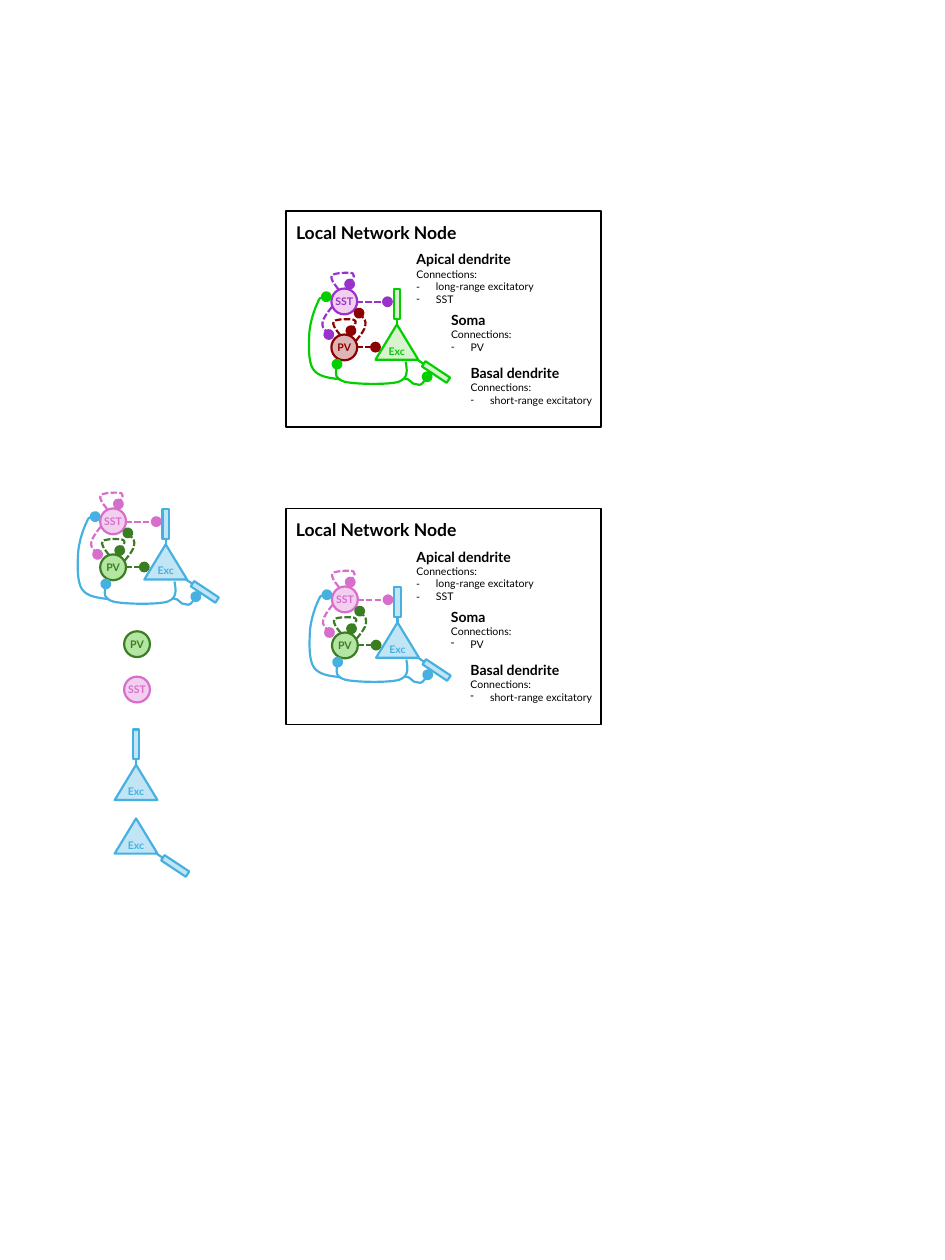
"""Build the local network node slide: loose cell symbols and two annotated panels."""
from lxml import etree
from pptx import Presentation
from pptx.dml.color import RGBColor
from pptx.enum import dml, shapes, text
from pptx.oxml import ns
from pptx.util import Inches, Pt

BLACK = RGBColor(0x00, 0x00, 0x00)
BLUE, PALE_BLUE = RGBColor(0x46, 0xB1, 0xE1), RGBColor(0xC1, 0xE5, 0xF5)
GREEN, PALE_GREEN = RGBColor(0x3B, 0x7D, 0x23), RGBColor(0xB4, 0xE5, 0xA2)
PINK, PALE_PINK = RGBColor(0xD8, 0x6E, 0xCC), RGBColor(0xF2, 0xCF, 0xEE)
LIME, PALE_LIME = RGBColor(0x03, 0xCE, 0x00), RGBColor(0xD9, 0xF2, 0xD0)
DARK_RED, PURPLE = RGBColor(0x8B, 0x00, 0x00), RGBColor(0x99, 0x32, 0xCC)
FONT = "Lato"

# Each cell type: line colour, fill colour, fill opacity in percent
SOFT = {"Exc": (BLUE, PALE_BLUE, 100), "PV": (GREEN, PALE_GREEN, 100), "SST": (PINK, PALE_PINK, 100)}
BRIGHT = {"Exc": (LIME, PALE_LIME, 100), "PV": (DARK_RED, DARK_RED, 29), "SST": (PURPLE, PALE_PINK, 100)}

# Each part: cell type, preset, left, top, width, height, rotation, label
PARTS = {
    "soma": ("Exc", shapes.MSO_SHAPE.ISOSCELES_TRIANGLE, 2.29, 8.64, 0.68, 0.56, 0, "Exc"),
    "apical": ("Exc", shapes.MSO_SHAPE.RECTANGLE, 2.58, 8.08, 0.1, 0.47, 0, ""),
    "basal": ("Exc", shapes.MSO_SHAPE.RECTANGLE, 3.2, 9.16, 0.1, 0.47, 123.6, ""),
    "PV": ("PV", shapes.MSO_SHAPE.OVAL, 1.59, 8.8, 0.41, 0.41, 0, "PV"),
    "SST": ("SST", shapes.MSO_SHAPE.OVAL, 1.59, 8.07, 0.41, 0.41, 0, "SST"),
}
STEMS = {"apical": ((2.63, 8.54), (2.63, 8.68)), "basal": ((3.06, 9.27), (2.94, 9.19))}
STRAIGHT_AXONS = [("SST", (1.99, 8.28), (2.48, 8.28)), ("PV", (1.99, 9), (2.29, 9))]
# Each curved axon: start point, then control, control, end for every cubic segment
CURVED_AXONS = [
    ("SST", [(1.7, 8.08), (1.63, 7.99), (1.56, 7.9), (1.6, 7.86), (1.64, 7.82), (1.88, 7.81),
             (1.93, 7.83), (1.97, 7.86), (1.92, 7.93), (1.88, 8)]),
    ("PV", [(1.73, 8.81), (1.66, 8.72), (1.59, 8.63), (1.63, 8.59), (1.67, 8.55), (1.91, 8.55),
            (1.95, 8.57), (2, 8.59), (1.95, 8.66), (1.9, 8.74)]),
    ("PV", [(1.98, 8.9), (2.05, 8.81), (2.13, 8.72), (2.13, 8.65), (2.14, 8.58), (2.09, 8.52), (2.03, 8.46)]),
    ("SST", [(1.6, 8.36), (1.53, 8.45), (1.46, 8.54), (1.45, 8.61), (1.44, 8.68), (1.5, 8.74), (1.55, 8.8)]),
    ("Exc", [(2.77, 9.23), (2.79, 9.36), (2.82, 9.49), (2.66, 9.55), (2.5, 9.6), (1.96, 9.59),
             (1.8, 9.55), (1.64, 9.5), (1.66, 9.38), (1.68, 9.27)]),
    ("Exc", [(2.75, 9.5), (2.84, 9.49), (2.86, 9.6), (2.94, 9.59), (3.02, 9.62), (3.11, 9.49), (3.11, 9.47)]),
    ("Exc", [(1.73, 9.51), (1.55, 9.49), (1.38, 9.47), (1.3, 9.35), (1.22, 9.23), (1.23, 8.96), (1.24, 8.78),
             (1.25, 8.61), (1.32, 8.4), (1.37, 8.3), (1.41, 8.2), (1.46, 8.2), (1.51, 8.2)]),
]
# Each symbol: shift from the circuit, part names
SYMBOLS = [((0.38, 1.22), ["PV"]), ((0.38, 2.67), ["SST"]),
           ((-0.47, 3.5), ["soma", "apical"]), ((-0.47, 4.35), ["soma", "basal"])]

PANEL_TITLE = "Local Network Node"
PANEL_LEFT, PANEL_WIDTH, PANEL_HEIGHT = 4.54, 5, 3.43
# Each panel: top, palette, shift of its circuit
PANELS = [(3.35, BRIGHT, (3.67, -3.49)), (8.07, SOFT, (3.68, 1.24))]
# Each note: left, top within the panel, height, heading, connections
NOTES = [
    (6.51, 0.58, 0.98, "Apical dendrite", ["long-range excitatory", "SST"]),
    (7.06, 1.54, 0.77, "Soma", ["PV"]),
    (7.37, 2.38, 0.77, "Basal dendrite", ["short-range excitatory"]),
]


def format_line(shape, color, dashed=False, ball=False):
    shape.line.color.rgb = color
    shape.line.width = Pt(2.5)
    if dashed:
        shape.line.dash_style = dml.MSO_LINE.SQUARE_DOT
    if ball:
        outline = shape._element.spPr.find(ns.qn("a:ln"))
        etree.SubElement(outline, ns.qn("a:tailEnd"), type="oval", w="lg", len="lg")


def add_part(group, palette, name, shift):
    cell, preset, left, top, width, height, rotation, label = PARTS[name]
    color, fill, opacity = palette[cell]
    shape = group.shapes.add_shape(preset, Inches(left + shift[0]), Inches(top + shift[1]),
                                   Inches(width), Inches(height))
    shape.rotation = rotation
    shape.shadow.inherit = False
    shape.fill.solid()
    shape.fill.fore_color.rgb = fill
    if opacity < 100:
        fill_color = shape._element.spPr.find(".//" + ns.qn("a:srgbClr"))
        etree.SubElement(fill_color, ns.qn("a:alpha"), val=str(opacity * 1000))
    format_line(shape, color)
    if label:
        frame = shape.text_frame
        frame.margin_left = frame.margin_right = frame.margin_top = frame.margin_bottom = 0
        frame.word_wrap = False
        frame.vertical_anchor = text.MSO_ANCHOR.MIDDLE
        write(frame.paragraphs[0], label, 12, True, color, text.PP_ALIGN.CENTER)
    if name in STEMS:
        add_straight(group, color, *STEMS[name], shift)


def add_straight(group, color, start, end, shift, dashed=False):
    ends = [Inches(value + offset) for point in (start, end) for value, offset in zip(point, shift)]
    connector = group.shapes.add_connector(shapes.MSO_CONNECTOR.STRAIGHT, *ends)
    format_line(connector, color, dashed, ball=dashed)
    etree.SubElement(connector._element.spPr, ns.qn("a:effectLst"))


def add_curve(group, color, controls, shift, dashed):
    points = [(Inches(x + shift[0]), Inches(y + shift[1])) for x, y in controls]
    builder = group.shapes.build_freeform(*points[0])
    builder.add_line_segments(points[1:], close=False)
    curve = builder.convert_to_shape()
    outline = curve._element.spPr.find(".//" + ns.qn("a:path"))
    legs = outline.findall(ns.qn("a:lnTo"))
    for first in range(0, len(legs), 3):
        cubic = etree.SubElement(outline, ns.qn("a:cubicBezTo"))
        for leg in legs[first:first + 3]:
            cubic.append(leg[0])
            outline.remove(leg)
    curve.fill.background()
    curve.shadow.inherit = False
    format_line(curve, color, dashed, ball=True)


def add_circuit(slide, palette, shift):
    group = slide.shapes.add_group_shape()
    for name in ("soma", "apical", "PV", "SST"):
        add_part(group, palette, name, shift)
    for cell, start, end in STRAIGHT_AXONS:
        add_straight(group, palette[cell][0], start, end, shift, dashed=True)
    for cell, controls in CURVED_AXONS:
        add_curve(group, palette[cell][0], controls, shift, dashed=cell != "Exc")
    add_part(group, palette, "basal", shift)


def write(paragraph, words, size, bold, color=BLACK, alignment=text.PP_ALIGN.LEFT, bullet=False):
    paragraph.text = words
    paragraph.alignment = alignment
    paragraph.space_before = Pt(0)
    properties = paragraph._p.get_or_add_pPr()
    properties.set("marL", str(Inches(0.31) if bullet else 0))
    properties.set("indent", str(Inches(-0.31) if bullet else 0))
    if bullet:
        etree.SubElement(properties, ns.qn("a:buChar"), char="-")
    else:
        etree.SubElement(properties, ns.qn("a:buNone"))
    font = paragraph.font
    font.name, font.size, font.bold = FONT, Pt(size), bold
    font.color.rgb = color


def place_text(slide, placeholder, left, top, width, height):
    box = placeholder or slide.shapes.add_textbox(0, 0, 0, 0)
    box.left, box.top, box.width, box.height = map(Inches, (left, top, width, height))
    frame = box.text_frame
    frame.word_wrap = True
    frame.auto_size = text.MSO_AUTO_SIZE.NONE
    frame.vertical_anchor = text.MSO_ANCHOR.TOP
    return frame


def add_panel(slide, top, titles, bodies):
    border = slide.shapes.add_shape(shapes.MSO_SHAPE.RECTANGLE, Inches(PANEL_LEFT), Inches(top),
                                    Inches(PANEL_WIDTH), Inches(PANEL_HEIGHT))
    border.fill.background()
    border.line.color.rgb = BLACK
    border.line.width = Pt(2)
    border.shadow.inherit = False
    title = place_text(slide, next(titles, None), PANEL_LEFT + 0.06, top + 0.12, 4.2, 0.44)
    write(title.paragraphs[0], PANEL_TITLE, 20, True)
    for left, offset, height, heading, connections in NOTES:
        note = place_text(slide, next(bodies, None), left, top + offset, 2.17, height)
        write(note.paragraphs[0], heading, 16, True)
        write(note.add_paragraph(), "Connections:", 12, False)
        for connection in connections:
            write(note.add_paragraph(), connection, 12, False, bullet=True)


def main():
    presentation = Presentation()
    presentation.slide_width, presentation.slide_height = Inches(15), Inches(20)
    slide = presentation.slides.add_slide(presentation.slide_layouts.get_by_name("Comparison"))
    titles = iter([slide.shapes.title])
    bodies = iter(list(slide.placeholders)[1:])
    for top, palette, shift in PANELS:
        add_panel(slide, top, titles, bodies)
        add_circuit(slide, palette, shift)
    add_circuit(slide, SOFT, (0, 0))
    for shift, names in SYMBOLS:
        group = slide.shapes.add_group_shape()
        for name in names:
            add_part(group, SOFT, name, shift)
    presentation.save("out.pptx")


if __name__ == "__main__":
    main()
